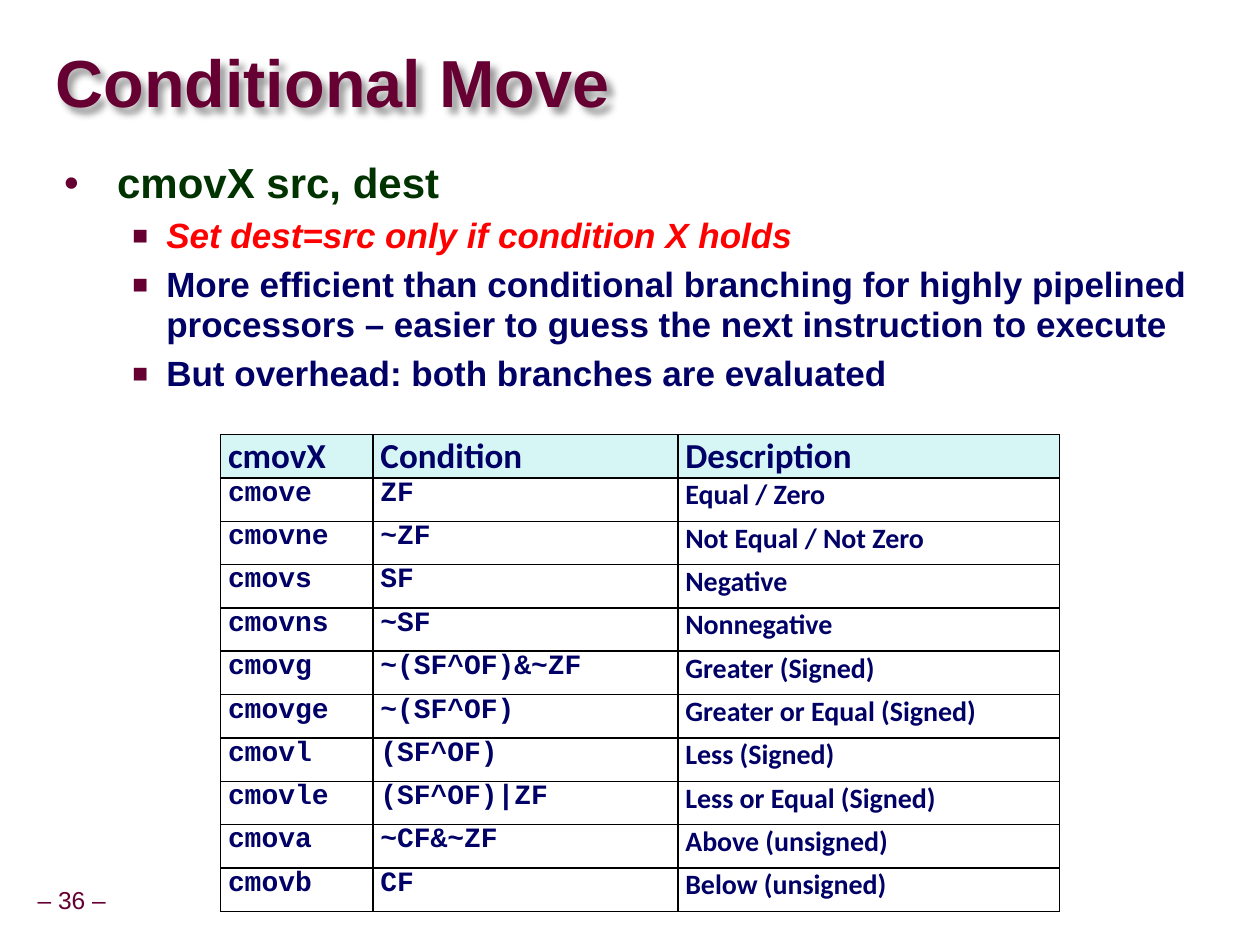
from lxml.etree import SubElement
from pptx import Presentation
from pptx.dml.color import RGBColor
from pptx.enum.text import MSO_ANCHOR, MSO_AUTO_SIZE, PP_ALIGN
from pptx.oxml import parse_xml
from pptx.oxml.ns import nsdecls, qn
from pptx.util import Inches, Pt

WIDE, HIGH = Inches(10), Inches(7.5)
HUES = {"wine": "660033", "green": "003300", "navy": "000066",
        "red": "FF0000", "head": "D6F5F5", "line": "000000"}
COLS = (1.21, 2.42, 3.03)
ROW = 0.344

# text, level, size, colour, italic
POINTS = [
    ("cmovX src, dest", 0, 24, "green", False),
    ("Set dest=src only if condition X holds", 1, 20, "red", True),
    ("More efficient than conditional branching for highly pipelined "
     "processors – easier to guess the next instruction to execute", 1, 20, "navy", False),
    ("But overhead: both branches are evaluated", 1, 20, "navy", False),
]
# level: bullet, size %, margin, indent
MARKS = [("•", 100, 0.42, -0.42), ("■", 75, 0.81, -0.27)]

HEAD = ("cmovX", "Condition", "Description")
FLAGS = [
    ("cmove", "ZF", "Equal / Zero"),
    ("cmovne", "~ZF", "Not Equal / Not Zero"),
    ("cmovs", "SF", "Negative"),
    ("cmovns", "~SF", "Nonnegative"),
]
ORDERS = [
    ("cmovg", "~(SF^OF)&~ZF", "Greater (Signed)"),
    ("cmovge", "~(SF^OF)", "Greater or Equal (Signed)"),
    ("cmovl", "(SF^OF)", "Less (Signed)"),
    ("cmovle", "(SF^OF)|ZF", "Less or Equal (Signed)"),
    ("cmova", "~CF&~ZF", "Above (unsigned)"),
    ("cmovb", "CF", "Below (unsigned)"),
]


def hue(name):
    return RGBColor.from_string(HUES[name])


def style(para, size, tint, face="Arial", bold=True, slant=False):
    for run in para.runs:
        font = run.font
        font.size, font.name = Pt(size), face
        font.bold, font.italic = bold, slant
        font.color.rgb = hue(tint)


def place(shape, left, top, width, height):
    """Position a shape by shares of the slide's size."""
    shape.left, shape.width = int(WIDE * left), int(WIDE * width)
    shape.top, shape.height = int(HIGH * top), int(HIGH * height)


def pad(frame, side, edge):
    frame.margin_left = frame.margin_right = Inches(side)
    frame.margin_top = frame.margin_bottom = Inches(edge)


def add_title(slide, text):
    title = slide.shapes.title
    place(title, 0.044, 0.05, 0.897, 0.084)
    frame = title.text_frame
    frame.text = text
    frame.auto_size = MSO_AUTO_SIZE.NONE
    frame.vertical_anchor = MSO_ANCHOR.MIDDLE
    pad(frame, 0, 0)
    para = frame.paragraphs[0]
    para.alignment, para.line_spacing = PP_ALIGN.LEFT, 0.87
    style(para, 38, "wine")
    # Soft shadow behind the letters
    title.fill.background()
    title._element.spPr.append(parse_xml(
        f'<a:effectLst {nsdecls("a")}><a:outerShdw blurRad="50800" dist="50800" '
        'dir="2700000" algn="tl" rotWithShape="0"><a:srgbClr val="000000">'
        '<a:alpha val="40000"/></a:srgbClr></a:outerShdw></a:effectLst>'))


def add_mark(para, level):
    sign, share, margin, indent = MARKS[level]
    props = para._p.get_or_add_pPr()
    props.set("marL", str(Inches(margin)))
    props.set("indent", str(Inches(indent)))
    tint = SubElement(props, qn("a:buClr"))
    SubElement(tint, qn("a:srgbClr"), val=HUES["wine"])
    SubElement(props, qn("a:buSzPct"), val=str(share * 1000))
    SubElement(props, qn("a:buFont"), typeface="Arial")
    SubElement(props, qn("a:buChar"), char=sign)


def add_points(slide):
    body = slide.placeholders[1]
    place(body, 0.041, 0.163, 0.925, 0.177)
    frame = body.text_frame
    frame.text = "\n".join(point[0] for point in POINTS)
    frame.auto_size = MSO_AUTO_SIZE.NONE
    pad(frame, 0.1, 0.05)
    for para, (_, level, size, tint, slant) in zip(frame.paragraphs, POINTS):
        para.level = level
        add_mark(para, level)
        para.line_spacing = 0.95
        para.space_before = Pt(5 * level)
        style(para, size, tint, slant=slant)


def add_rim(cell):
    props = cell._tc.get_or_add_tcPr()
    for side in ("lnL", "lnR", "lnT", "lnB"):
        line = SubElement(props, qn(f"a:{side}"), w=str(Pt(1)))
        fill = SubElement(line, qn("a:solidFill"))
        SubElement(fill, qn("a:srgbClr"), val=HUES["line"])


def add_grid(slide, top, rows):
    table = slide.shapes.add_table(
        len(rows), len(COLS), Inches(1.75), Inches(top),
        Inches(sum(COLS)), Inches(ROW * len(rows))).table
    table.first_row = rows[0] == HEAD
    table.horz_banding = False
    for column, width in zip(table.columns, COLS):
        column.width = Inches(width)
    for line, row in zip(table.rows, rows):
        line.height = Inches(ROW)
        for spot, (cell, text) in enumerate(zip(line.cells, row)):
            cell.text = text
            pad(cell, 0.06, 0)
            add_rim(cell)
            para = cell.text_frame.paragraphs[0]
            if row == HEAD:
                cell.fill.solid()
                cell.fill.fore_color.rgb = hue("head")
                style(para, 20, "navy", "Calibri")
            else:
                cell.fill.background()
                style(para, 16, "navy", "Calibri" if spot == 2 else "Courier New")


def add_page(slide, text):
    box = slide.shapes.add_textbox(0, 0, 0, 0)
    place(box, 0.024, 0.933, 0.066, 0.041)
    frame = box.text_frame
    frame.text = text
    frame.word_wrap = False
    frame.vertical_anchor = MSO_ANCHOR.MIDDLE
    pad(frame, 0.05, 0.05)
    para = frame.paragraphs[0]
    para.alignment, para.line_spacing = PP_ALIGN.CENTER, 0.9
    style(para, 14, "wine", bold=False)


def main():
    deck = Presentation()
    deck.slide_width, deck.slide_height = WIDE, HIGH
    slide = deck.slides.add_slide(deck.slide_layouts[1])
    add_page(slide, "– 36 –")
    add_title(slide, "Conditional Move")
    add_points(slide)
    # Two tables stacked edge to edge
    upper = [HEAD] + FLAGS
    add_grid(slide, 3.45, upper)
    add_grid(slide, 3.45 + ROW * len(upper), ORDERS)
    deck.save("out.pptx")


if __name__ == "__main__":
    main()
